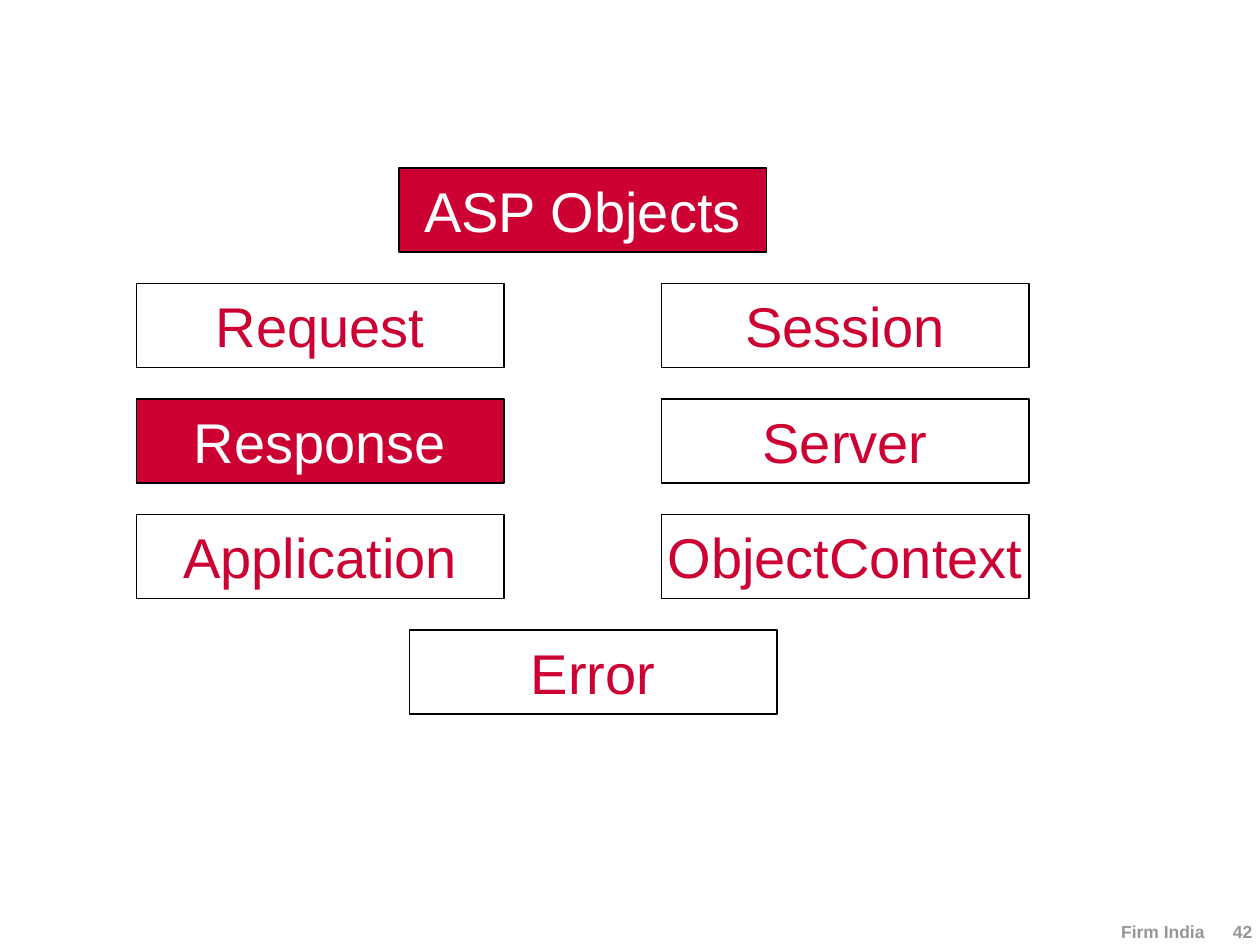
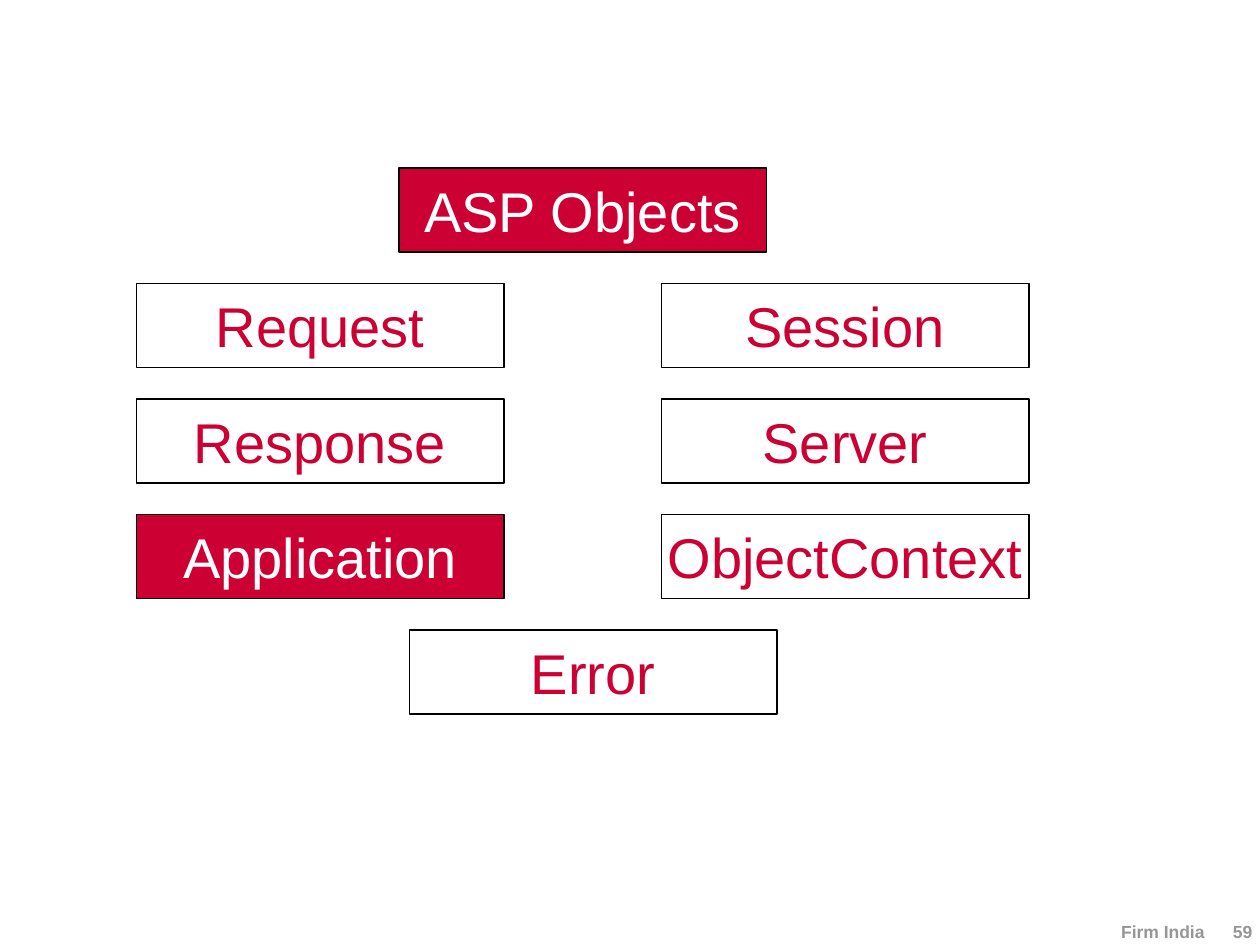
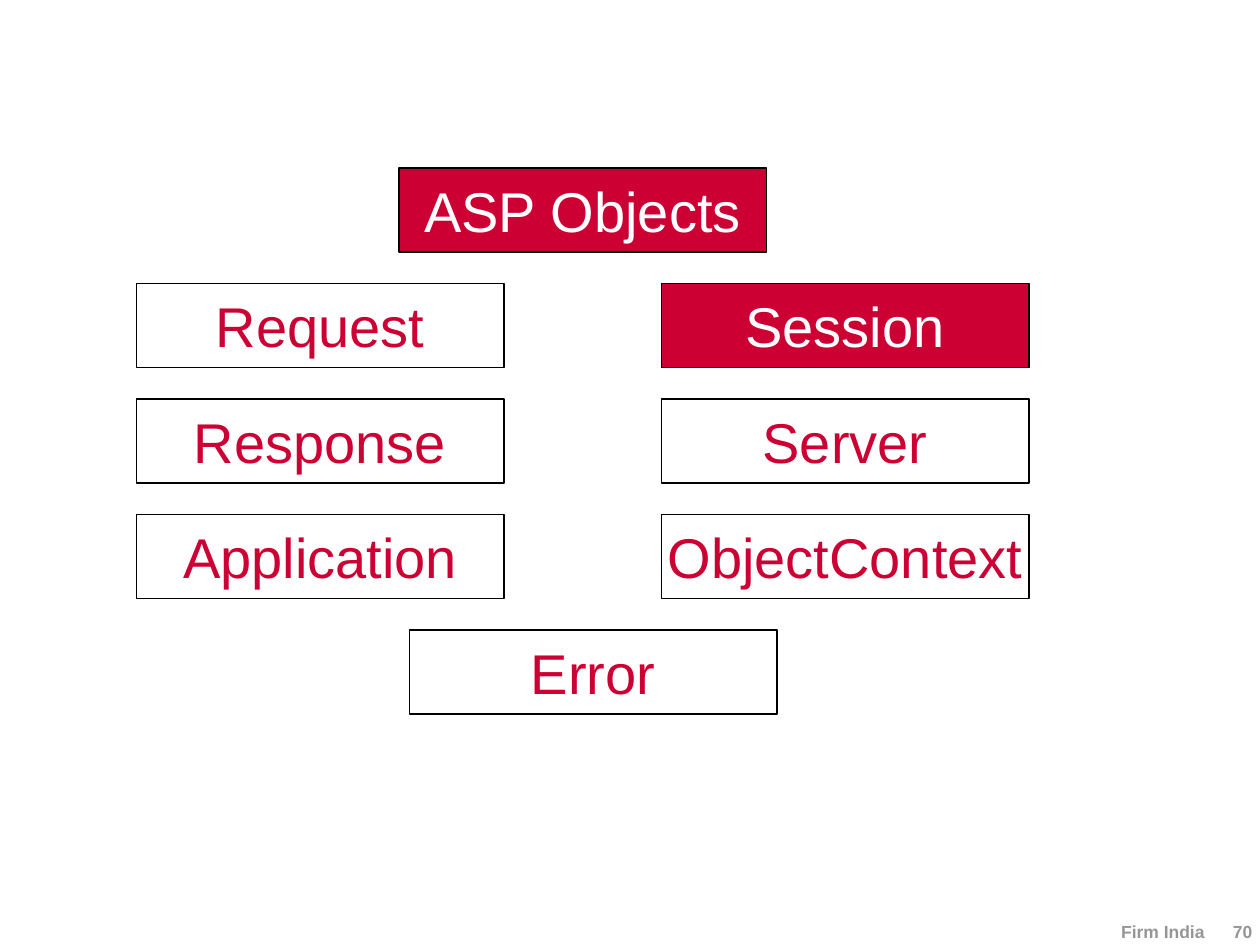
from pptx import Presentation
from pptx.dml.color import RGBColor
from pptx.enum.shapes import MSO_SHAPE
from pptx.enum.text import MSO_ANCHOR, PP_ALIGN
from pptx.oxml.xmlchemy import OxmlElement
from pptx.util import Inches, Pt

RECTANGLE = MSO_SHAPE.RECTANGLE
MIDDLE, BOTTOM = MSO_ANCHOR.MIDDLE, MSO_ANCHOR.BOTTOM
CENTER, LEFT = PP_ALIGN.CENTER, PP_ALIGN.LEFT

FONT = "Arial"
RED, WHITE, BLACK, GRAY = "CC0033", "FFFFFF", "000000", "969696"

# The diagram sits on a grid of twelfths of an inch.
GRID = 12
BOX_WIDTH, BOX_HEIGHT = 35, 8
FIRST_TOP, ROW_STEP = 16, 11

HEADING = "ASP Objects"
FOOTER_NAME = "Firm India"
FOOTER_TABS = (3.55, 3.93)

# Name, left edge in grid units, row
OBJECT_BOXES = [
    (HEADING, 38, 0),
    ("Request", 13, 1),
    ("Response", 13, 2),
    ("Application", 13, 3),
    ("Session", 63, 1),
    ("Server", 63, 2),
    ("ObjectContext", 63, 3),
    ("Error", 39, 4),
]

# Page number, highlighted object
PAGES = [(42, "Response"), (59, "Application"), (70, "Session")]


def color(hex_string):
    return RGBColor.from_string(hex_string)


def add_right_tabs(paragraph, positions):
    tab_list = OxmlElement("a:tabLst")
    for position in positions:
        tab = OxmlElement("a:tab")
        tab.set("pos", str(Inches(position)))
        tab.set("algn", "r")
        tab_list.append(tab)
    paragraph._p.get_or_add_pPr().append(tab_list)


class ObjectDeck:
    def __init__(self):
        self.presentation = Presentation()
        self.presentation.slide_width = Inches(10)
        self.presentation.slide_height = Inches(7.5)
        self.slide = None

    def add_slide(self):
        blank_layout = self.presentation.slide_layouts[6]
        self.slide = self.presentation.slides.add_slide(blank_layout)

    def add_run(self, paragraph, text, size, hex_color, bold=False):
        run = paragraph.add_run()
        run.text = text
        run.font.name = FONT
        run.font.size = Pt(size)
        run.font.bold = bold
        run.font.color.rgb = color(hex_color)

    def add_object_box(self, name, left, row, highlighted):
        top = FIRST_TOP + row * ROW_STEP
        shape = self.slide.shapes.add_shape(
            RECTANGLE,
            *(Inches(units / GRID) for units in (left, top, BOX_WIDTH, BOX_HEIGHT)),
        )
        shape.shadow.inherit = False
        if highlighted:
            shape.fill.solid()
            shape.fill.fore_color.rgb = color(RED)
        else:
            shape.fill.background()
        shape.line.color.rgb = color(BLACK)
        shape.line.width = Pt(0.75)

        frame = shape.text_frame
        frame.word_wrap = False
        frame.vertical_anchor = MIDDLE
        paragraph = frame.paragraphs[0]
        paragraph.alignment = CENTER
        self.add_run(paragraph, name, 32, WHITE if highlighted else RED)

    def add_footer(self, page_number):
        """Right-align the name and the page number at one tab stop each."""
        text_box = self.slide.shapes.add_textbox(
            Inches(6.01), Inches(7.31), Inches(3.94), Inches(0.17)
        )
        frame = text_box.text_frame
        frame.word_wrap = True
        frame.vertical_anchor = BOTTOM
        frame.margin_left = frame.margin_right = 0
        frame.margin_top = frame.margin_bottom = 0
        paragraph = frame.paragraphs[0]
        paragraph.alignment = LEFT
        add_right_tabs(paragraph, FOOTER_TABS)
        for text in (FOOTER_NAME, str(page_number)):
            self.add_run(paragraph, "\t" + text, 10, GRAY, bold=True)


def main():
    deck = ObjectDeck()
    for page_number, current_object in PAGES:
        deck.add_slide()
        deck.add_footer(page_number)
        for name, left, row in OBJECT_BOXES:
            deck.add_object_box(name, left, row, name in (HEADING, current_object))
    deck.presentation.save("out.pptx")


if __name__ == "__main__":
    main()
